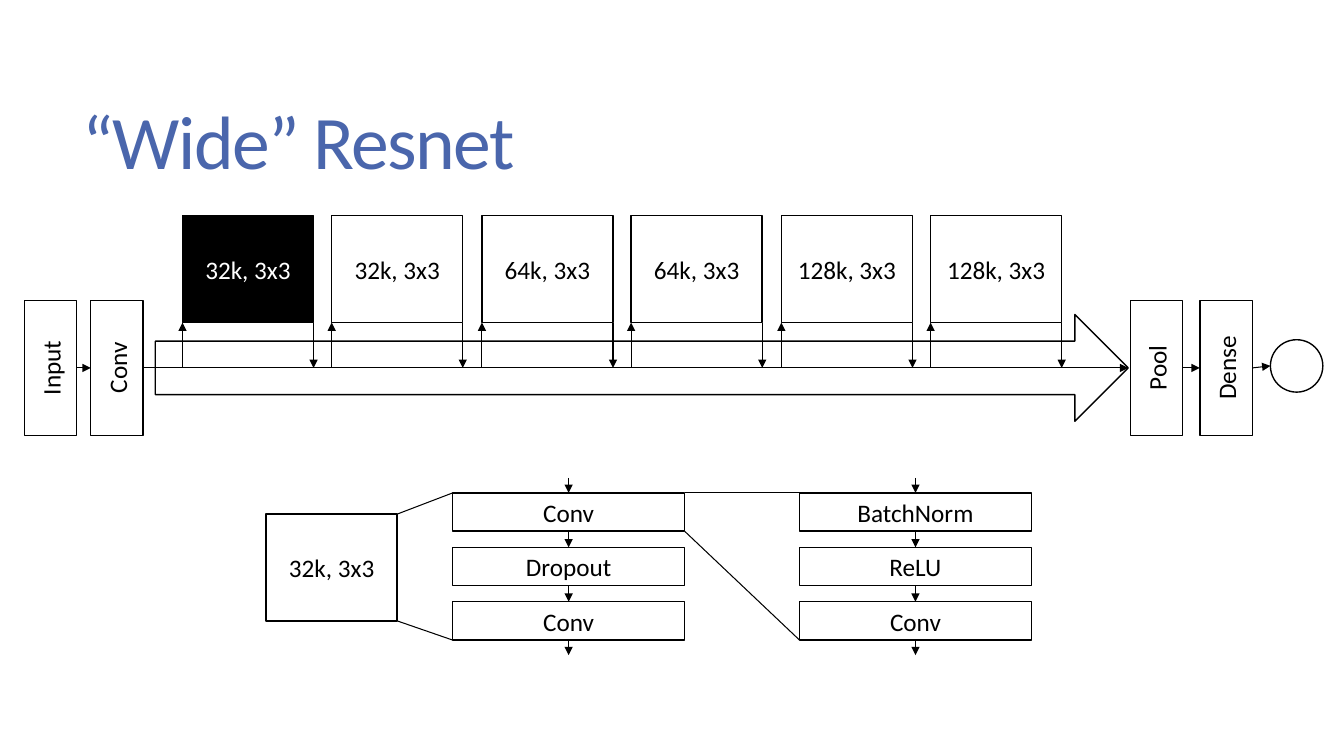
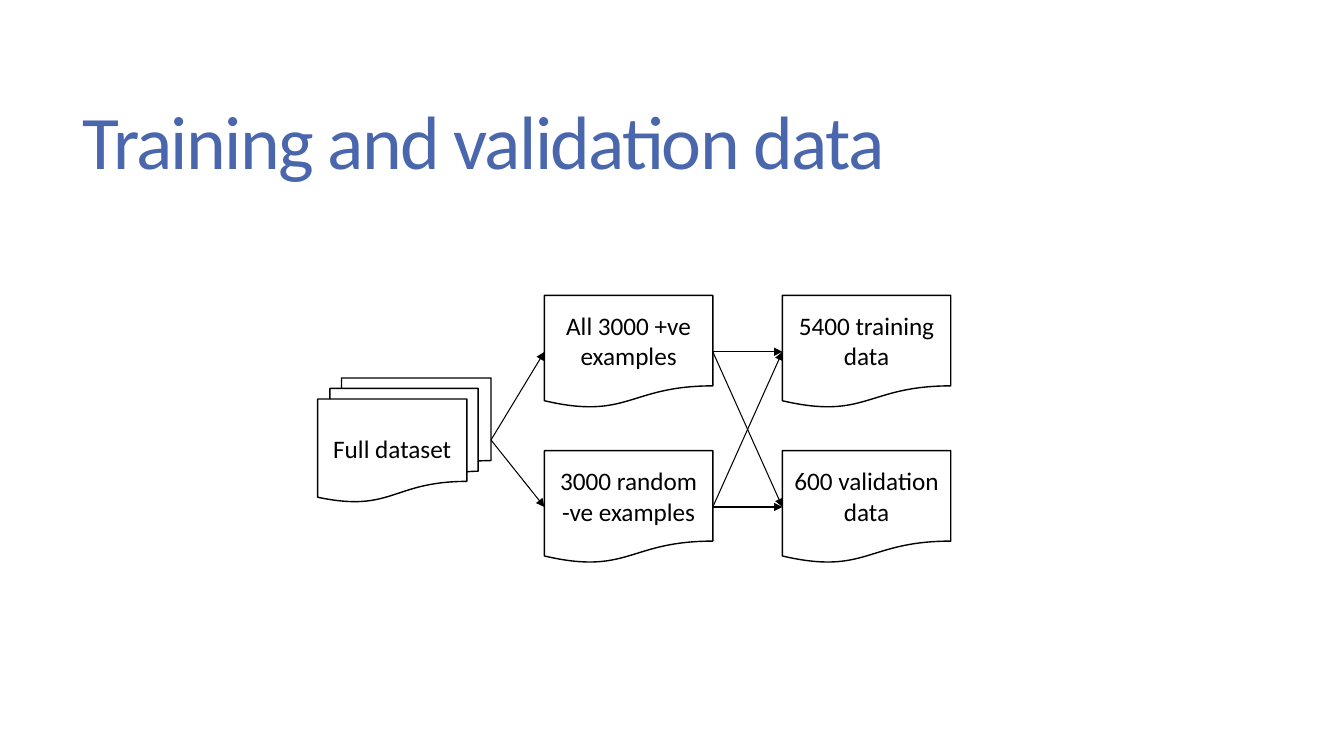
"""Builds two slides: a wide residual network and a data split."""
from itertools import pairwise, product

from lxml.etree import SubElement
from pptx import Presentation
from pptx.dml.color import RGBColor
from pptx.enum.shapes import MSO_CONNECTOR, MSO_SHAPE
from pptx.enum.text import MSO_ANCHOR, PP_ALIGN
from pptx.oxml.ns import qn
from pptx.util import Pt

PX = 9144
FONT = "Calibri"
COLORS = {"title": "4A66AC", "ink": "000000", "paper": "FFFFFF"}
TOP, LEFT, BOTTOM, RIGHT = range(4)


def rgb(name):
    """Return a named colour."""
    return RGBColor.from_string(COLORS[name])


def emu(*lengths):
    """Turn px into EMU."""
    return [n * PX for n in lengths]


def style(p, size, color):
    """Set the font of a paragraph."""
    p.font.name = FONT
    p.font.size = Pt(size)
    p.font.color.rgb = rgb(color)


def new_slide(prs, title):
    """Add a blank slide with its title."""
    s = prs.slides.add_slide(prs.slide_layouts[6])
    tf = s.shapes.add_textbox(*emu(72, 55, 1178, 181)).text_frame
    tf.word_wrap = True
    tf.vertical_anchor = MSO_ANCHOR.MIDDLE
    p = tf.paragraphs[0]
    r = p.add_run()
    r.text = title
    p.line_spacing = 0.85
    style(p, 54, "title")
    r._r.get_or_add_rPr().set("spc", "-120")
    return s


def box(s, x, y, w, h, text="", kind=MSO_SHAPE.RECTANGLE, fill="paper", color="ink", upright=False):
    """Add an outlined shape with a centred label."""
    sp = s.shapes.add_shape(kind, *emu(x, y, w, h))
    sp.shadow.inherit = False
    sp.fill.solid()
    sp.fill.fore_color.rgb = rgb(fill)
    sp.line.color.rgb = rgb("ink")
    sp.line.width = Pt(1)
    if text:
        tf = sp.text_frame
        tf.word_wrap = True
        tf.vertical_anchor = MSO_ANCHOR.MIDDLE
        if upright:
            tf._txBody.bodyPr.set("vert", "vert270")
        p = tf.paragraphs[0]
        p.text = text
        p.alignment = PP_ALIGN.CENTER
        style(p, 18, color)
    return sp


def line(s, x1, y1, x2, y2, head=True):
    """Add a thin straight line, with an arrowhead unless told otherwise."""
    c = s.shapes.add_connector(MSO_CONNECTOR.STRAIGHT, *emu(x1, y1, x2, y2))
    c.line.color.rgb = rgb("ink")
    c.line.width = Pt(0.75)
    if head:
        SubElement(c.line._get_or_add_ln(), qn("a:tailEnd"), type="triangle")
    SubElement(c._element.spPr, qn("a:effectLst"))
    return c


def link(s, a, start, b, end):
    """Join two shapes with an arrow."""
    c = line(s, 0, 0, 0, 0)
    c.begin_connect(a, start)
    c.end_connect(b, end)


def layer_pair(s, x, y, gap, labels):
    """Place two upright layers side by side and join them."""
    w, h = 52, 134
    first, last = [box(s, x + i * (w + gap), y, w, h, t, upright=True) for i, t in enumerate(labels)]
    link(s, first, RIGHT, last, LEFT)
    return last


def residual_blocks(s, x, y, labels):
    """Place a row of blocks that branch off the main path and return to it."""
    w, h, pitch, drop = 130, 106, 148.4, 151
    for i, label in enumerate(labels):
        left = x + round(i * pitch)
        fill, color = ("paper", "ink") if i else ("ink", "paper")
        box(s, left, y, w, h, label, fill=fill, color=color)
        line(s, left, y + drop, left, y + h)
        line(s, left + w, y + h, left + w, y + drop)


def network(s, x, y):
    """Place the whole network from input to output."""
    mid = y + 151
    conv = layer_pair(s, x, y + 84, 14, ["Input", "Conv"])
    box(s, x + 130, mid - 53, 965, 106, kind=MSO_SHAPE.RIGHT_ARROW)
    line(s, x + 118, mid, x + 1095, mid).begin_connect(conv, RIGHT)
    residual_blocks(s, x + 157, y, [f"{n}k, 3x3" for n in (32, 32, 64, 64, 128, 128)])
    dense = layer_pair(s, x + 1097, y + 84, 17, ["Pool", "Dense"])
    box(s, x + 1236, y + 123, 52, 52, kind=MSO_SHAPE.OVAL)
    line(s, x + 1218, mid, x + 1236, mid - 2).begin_connect(dense, RIGHT)


def layer_stack(s, x, y, labels):
    """Place layers under each other with arrows in, between and out."""
    w, h, pitch, stub = 230, 38, 54, 15
    layers = [box(s, x, y + i * pitch, w, h, t) for i, t in enumerate(labels)]
    for a, b in pairwise(layers):
        link(s, a, BOTTOM, b, TOP)
    mid, end = x + w // 2, y + pitch * (len(labels) - 1) + h
    line(s, mid, y - stub, mid, y).end_connect(layers[0], TOP)
    line(s, mid, end, mid, end + stub).begin_connect(layers[-1], BOTTOM)


def block_detail(s, x, y):
    """Place a block, its layers and the make-up of one layer."""
    box(s, x, y + 21, 130, 106, "32k, 3x3")
    layer_stack(s, x + 185, y, ["Conv", "Dropout", "Conv"])
    layer_stack(s, x + 529, y, ["BatchNorm", "ReLU", "Conv"])
    for x1, y1, x2, y2 in [(130, 21, 185, 0), (130, 127, 185, 146), (415, 0, 529, 0), (415, 38, 529, 146)]:
        line(s, x + x1, y + y1, x + x2, y + y2, head=False)


def data_split(s, x, y):
    """Place the full data set, its two samples and the two resulting sets."""
    full = box(s, x, y + 82, 172, 123, "Full dataset", MSO_SHAPE.FLOWCHART_MULTIDOCUMENT)
    columns = [
        (225, ["All 3000 +ve examples", "3000 random -ve examples"]),
        (461, ["5400 training data", "600 validation data"]),
    ]
    samples, sets = [
        [box(s, x + dx, y + i * 154, 167, 112, t, MSO_SHAPE.FLOWCHART_DOCUMENT) for i, t in enumerate(labels)]
        for dx, labels in columns
    ]
    for a, b in [*product([full], samples), *product(samples, sets)]:
        link(s, a, RIGHT, b, LEFT)


def main():
    """Build and save the presentation."""
    prs = Presentation()
    prs.slide_width, prs.slide_height = emu(1333, 750)
    s = new_slide(prs, "“Wide” Resnet")
    network(s, 24, 214)
    block_detail(s, 264, 489)
    s = new_slide(prs, "Training and validation data")
    data_split(s, 315, 293)
    prs.save("out.pptx")


if __name__ == "__main__":
    main()
